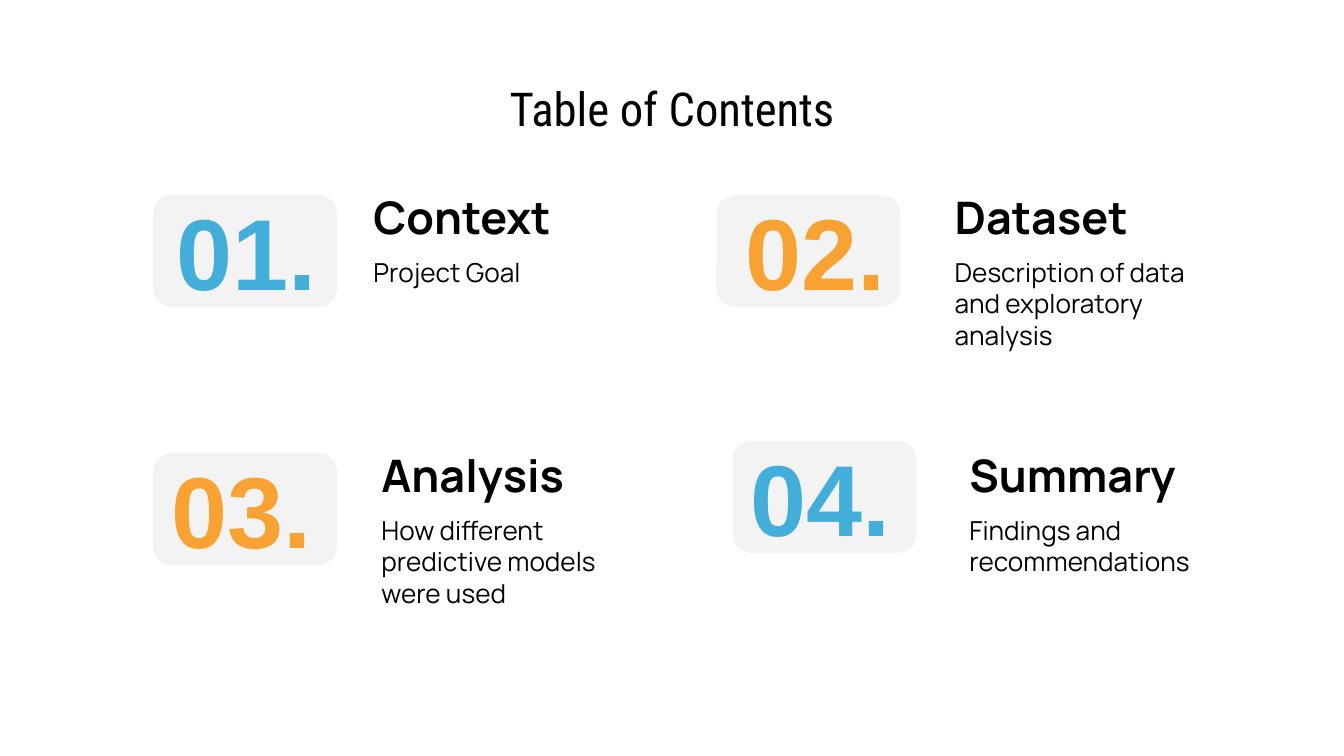
from pptx import Presentation
from pptx.dml.color import RGBColor
from pptx.enum.shapes import MSO_SHAPE as Shape
from pptx.enum.text import MSO_ANCHOR as Anchor, MSO_AUTO_SIZE as Fit, PP_ALIGN as Align
from pptx.util import Pt

PX = 4572  # EMU in one px, 200 px to the inch
BLUE, ORANGE, GREY, BLACK = "43AED9", "F8A233", "F3F3F3", "000000"


def color(code):
    return RGBColor.from_string(code)


class Deck:
    fonts = {
        "title": dict(name="Roboto Condensed", size=Pt(25), bold=False),
        "number": dict(name="Arial", size=Pt(54), bold=True),
        "head": dict(name="Manrope", size=Pt(24), bold=True),
        "body": dict(name="Manrope", size=Pt(14), bold=False),
    }

    def __init__(self, wide, high):
        self.file = Presentation()
        self.file.slide_width, self.file.slide_height = wide * PX, high * PX
        self.slide = self.file.slides.add_slide(self.file.slide_layouts[6])

    def card(self, *place):
        shape = self.slide.shapes.add_shape(
            Shape.ROUNDED_RECTANGLE, *(n * PX for n in place))
        shape.shadow.inherit = False
        shape.adjustments[0] = 0.17
        shape.fill.solid()
        shape.fill.fore_color.rgb = color(GREY)
        shape.line.fill.background()

    def text(self, place, lines, ink=BLACK, align=Align.LEFT,
             anchor=Anchor.TOP, gap=0):
        box = self.slide.shapes.add_textbox(*(n * PX for n in place))
        frame = box.text_frame
        form = dict(word_wrap=True, auto_size=Fit.NONE, vertical_anchor=anchor,
                    margin_left=20 * PX, margin_right=20 * PX,
                    margin_top=20 * PX, margin_bottom=20 * PX)
        for key, value in form.items():
            setattr(frame, key, value)
        for i, (style, words) in enumerate(lines):
            para = frame.add_paragraph() if i else frame.paragraphs[0]
            para.alignment = align
            if i:
                para.space_before = Pt(gap)
            run = para.add_run()
            run.text = words
            for key, value in self.fonts[style].items():
                setattr(run.font, key, value)
            run.font.color.rgb = color(ink)


deck = Deck(2000, 1125)

# Title
deck.text((68, 97, 1864, 126), [("title", "Table of Contents")],
          align=Align.CENTER, anchor=Anchor.MIDDLE)

# Sections: card corner, number left, text left, text top, text height
parts = [
    ("01.", BLUE, 228, 290, 243, 536, 262, 188, "Context", "Project Goal"),
    ("02.", ORANGE, 1066, 290, 1090, 1401, 262, 282, "Dataset",
     "Description of data and exploratory analysis"),
    ("03.", ORANGE, 228, 674, 236, 548, 646, 282, "Analysis",
     "How different predictive models were used"),
    ("04.", BLUE, 1090, 656, 1097, 1423, 646, 236, "Summary",
     "Findings and recommendations"),
]
for num, ink, left, top, num_x, text_x, text_y, high, head, body in parts:
    deck.card(left, top, 274, 167)
    deck.text((num_x, top - 28, 260, 222), [("number", num)], ink)
    deck.text((text_x, text_y, 420, high), [("head", head), ("body", body)], gap=7)

deck.file.save("out.pptx")
